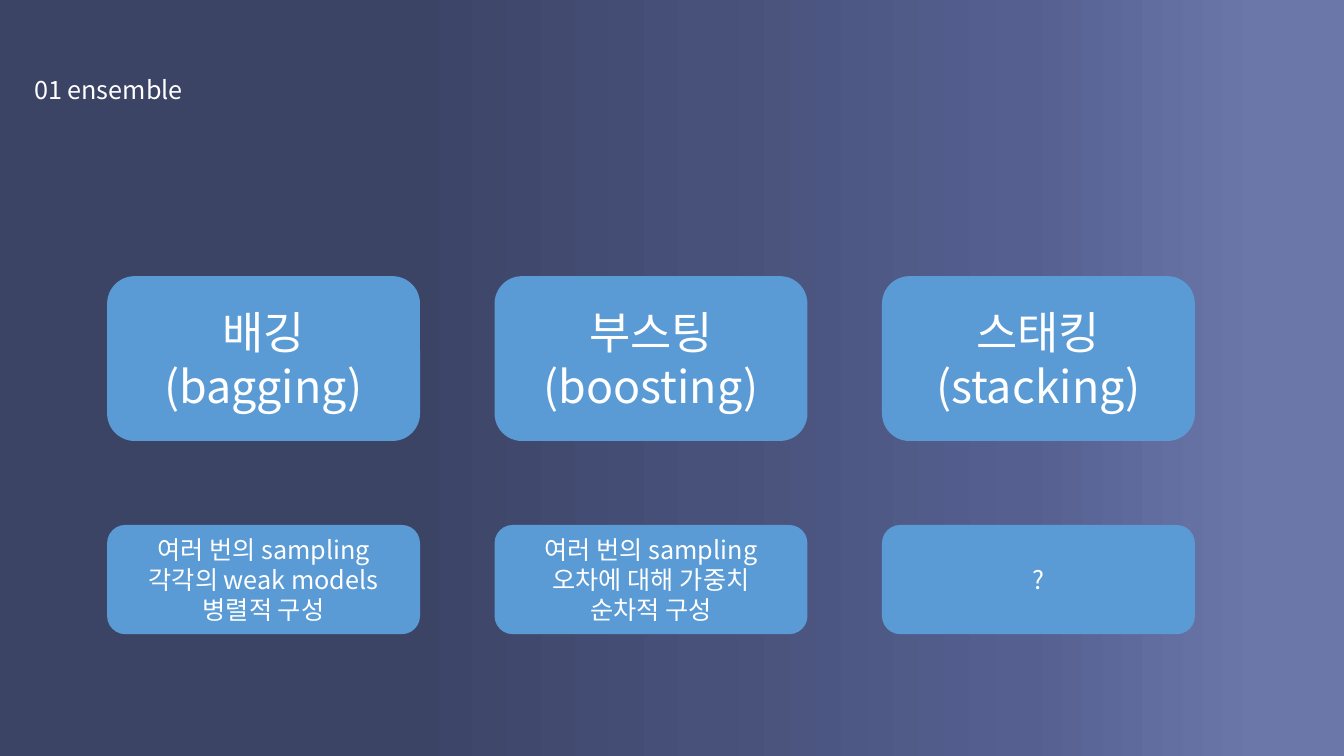
from lxml.etree import SubElement
from pptx import Presentation
from pptx.dml.color import RGBColor
from pptx.enum.shapes import MSO_SHAPE
from pptx.enum.text import MSO_ANCHOR, PP_ALIGN
from pptx.oxml.ns import qn
from pptx.util import Pt

PX = 9525  # EMU per px, 96 px to the inch

THEME = {
    "font": "Noto Sans CJK KR",
    "text": RGBColor.from_string("FFFFFF"),
    "card": RGBColor.from_string("5B9BD5"),
    "gradient": [(30, "3C4466"), (53, "475179"), (76, "556091"), (94, "6B77A9")],
    "body": Pt(18),
    "method": Pt(32),
}

# Each column: method name, then its traits
METHODS = [
    (["배깅", "(bagging)"],
     ["여러 번의 sampling", "각각의 weak models", "병렬적 구성"]),
    (["부스팅", "(boosting)"],
     ["여러 번의 sampling", "오차에 대해 가중치", "순차적 구성"]),
    (["스태킹", "(stacking)"], ["?"]),
]
LEFT, PITCH, CARD_W = 102, 369, 298


def px(*lengths):
    return [n * PX for n in lengths]


def apply(obj, formats):
    for name, value in formats.items():
        setattr(obj, name, value)


def paint_background(s):
    fill = s.background.fill
    fill.gradient()
    fill.gradient_angle = 0
    stops = s.element.find(".//" + qn("a:gsLst"))
    for stop in list(stops):
        stops.remove(stop)
    for percent, color in THEME["gradient"]:
        stop = SubElement(stops, qn("a:gs"), pos=str(percent * 1000))
        SubElement(stop, qn("a:srgbClr"), val=color)


def write_lines(tf, lines, size, formats):
    tf.word_wrap = True
    for i, line in enumerate(lines):
        p = tf.paragraphs[0] if i == 0 else tf.add_paragraph()
        apply(p, formats)
        r = p.add_run()
        r.text = line
        apply(r.font, {"name": THEME["font"], "size": size})
        r.font.color.rgb = THEME["text"]
        # Korean glyphs take the East Asian font
        SubElement(r.font._element, qn("a:ea"), typeface=THEME["font"])


def add_heading(s, text):
    box = s.shapes.add_textbox(*px(23, 37, 309, 67))
    write_lines(box.text_frame, [text], THEME["body"],
                {"line_spacing": 2.0, "space_before": Pt(10)})


def add_card(s, left, top, height, lines, size):
    sp = s.shapes.add_shape(MSO_SHAPE.ROUNDED_RECTANGLE,
                            *px(left, top, CARD_W, height))
    sp.shadow.inherit = False
    sp.fill.solid()
    sp.fill.fore_color.rgb = THEME["card"]
    sp.line.fill.background()
    tf = sp.text_frame
    tf.vertical_anchor = MSO_ANCHOR.MIDDLE
    write_lines(tf, lines, size, {"alignment": PP_ALIGN.CENTER})


def main():
    prs = Presentation()
    apply(prs, dict(zip(("slide_width", "slide_height"), px(1280, 720))))
    s = prs.slides.add_slide(prs.slide_layouts[6])

    # Background and heading
    paint_background(s)
    add_heading(s, "01 ensemble")

    # Method cards with their traits below
    for i, (name, traits) in enumerate(METHODS):
        left = LEFT + i * PITCH
        add_card(s, left, 263, 157, name, THEME["method"])
        add_card(s, left, 500, 104, traits, THEME["body"])

    prs.save("out.pptx")


if __name__ == "__main__":
    main()
